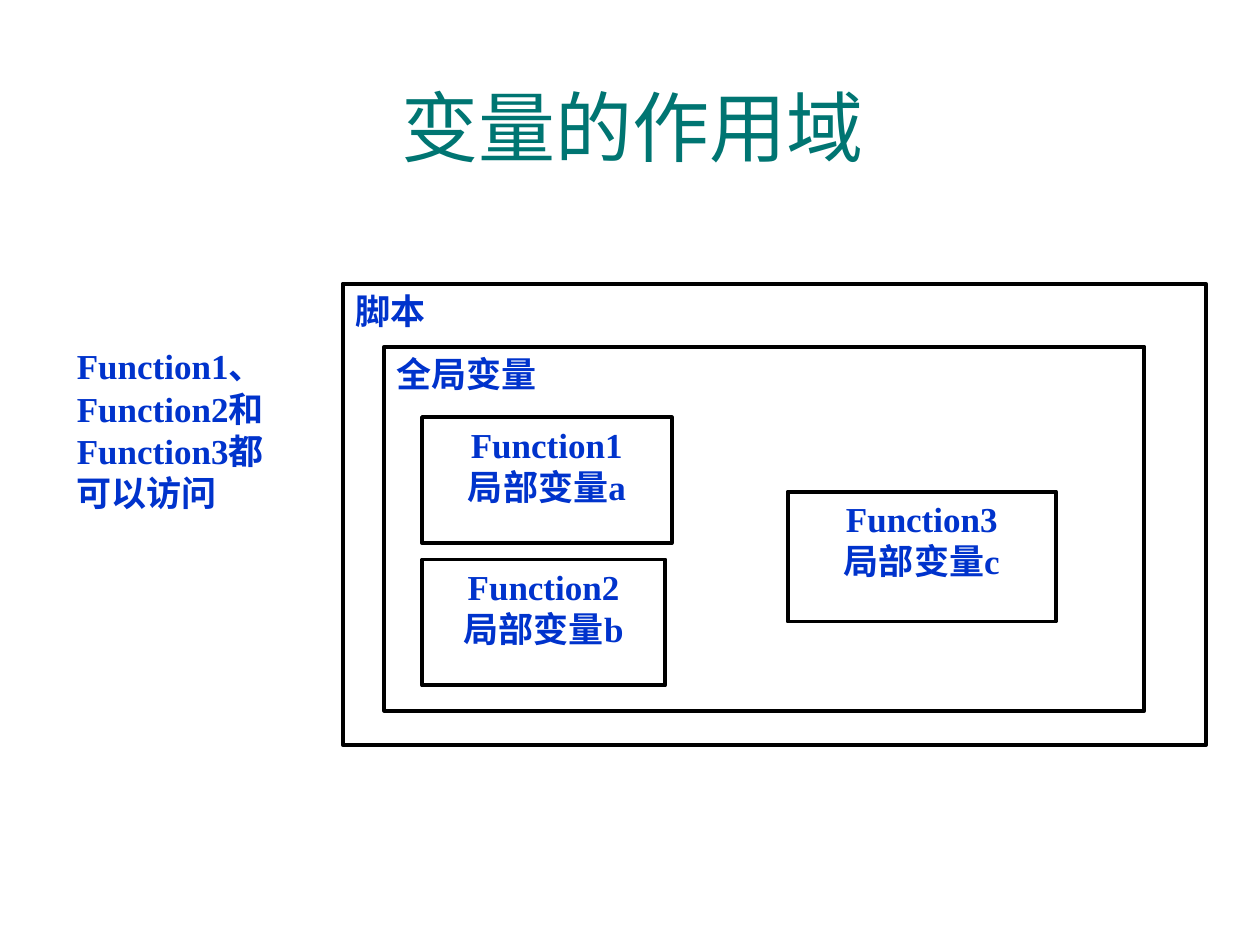
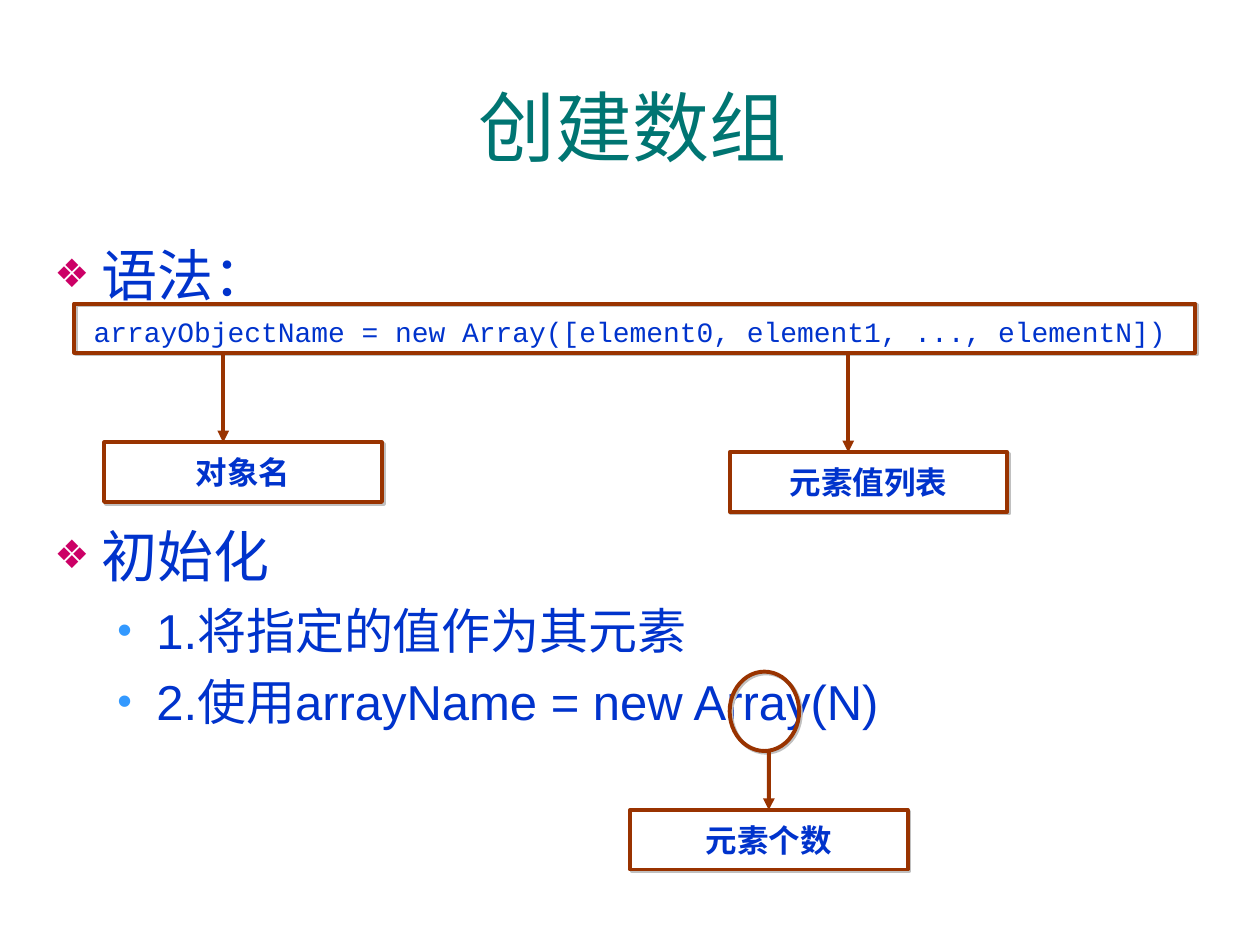
"""Build two lesson slides on variable scope and array creation."""
from lxml import etree
from pptx import Presentation
from pptx.dml.color import RGBColor
from pptx.enum.shapes import MSO_CONNECTOR, MSO_SHAPE
from pptx.enum.text import MSO_ANCHOR, MSO_AUTO_SIZE, PP_ALIGN
from pptx.oxml.ns import qn
from pptx.util import Cm, Pt

RECT, OVAL, LINE = MSO_SHAPE.RECTANGLE, MSO_SHAPE.OVAL, MSO_CONNECTOR.STRAIGHT
LEFT, MID = PP_ALIGN.LEFT, PP_ALIGN.CENTER
TOP, CENTER = MSO_ANCHOR.TOP, MSO_ANCHOR.MIDDLE
FIXED = MSO_AUTO_SIZE.NONE
TEAL = RGBColor(0x00, 0x75, 0x72)
BLUE = RGBColor(0x00, 0x33, 0xCC)
BROWN = RGBColor(0x99, 0x33, 0x00)
BLACK = RGBColor(0x00, 0x00, 0x00)
WHITE = RGBColor(0xFF, 0xFF, 0xFF)
PINK = RGBColor(0xCC, 0x00, 0x66)
SKY = RGBColor(0x33, 0x99, 0xFF)
GREY = RGBColor(0xC0, 0xC0, 0xC0)
HAN = "Noto Sans CJK SC"


def write(para, text, size=20, face="Times New Roman", color=BLUE, bold=False,
          align=LEFT, before=0, mark=None, hang=0, left=0):
    """Fill a paragraph; mark is a bullet's sign, colour and percent."""
    props = para._p.get_or_add_pPr()
    props.set("marL", str(Cm(left)))
    props.set("indent", str(-Cm(hang)))
    if mark:
        sign, tint, scale = mark
        tone = etree.SubElement(props, qn("a:buClr"))
        etree.SubElement(tone, qn("a:srgbClr"), val=str(tint))
        etree.SubElement(props, qn("a:buSzPct"), val=str(scale * 1000))
        etree.SubElement(props, qn("a:buChar"), char=sign)
    else:
        etree.SubElement(props, qn("a:buNone"))
    para.alignment = align
    para.line_spacing = Pt(size * 1.2)
    para.space_before = Pt(before)
    para.text = text
    for run in para.runs:
        font = run.font
        font.size, font.name, font.bold = Pt(size), face, bold
        font.color.rgb = color
        etree.SubElement(run._r.get_or_add_rPr(), qn("a:ea"), typeface=HAN)


def draw(slide, kind, box, fill=None, line=None, shade=False, anchor=TOP, wrap=True):
    """Add a shape with plain fill, line and optional grey shadow."""
    shape = slide.shapes.add_shape(kind, *map(Cm, box))
    shape.shadow.inherit = False
    if fill is None:
        shape.fill.background()
    else:
        shape.fill.solid()
        shape.fill.fore_color.rgb = fill
    if line is None:
        shape.line.fill.background()
    else:
        shape.line.color.rgb = line
        shape.line.width = Pt(2.25)
    if shade:
        glow = shape._element.spPr.find(qn("a:effectLst"))
        cast = etree.SubElement(glow, qn("a:outerShdw"), dist=str(Pt(1.4)),
                                dir="2700000", algn="ctr", rotWithShape="0")
        etree.SubElement(cast, qn("a:srgbClr"), val=str(GREY))
    shape.text_frame.vertical_anchor = anchor
    shape.text_frame.word_wrap = wrap
    return shape


deck = Presentation()
deck.slide_width, deck.slide_height = Cm(25.4), Cm(19.05)
scope = deck.slides.add_slide(deck.slide_layouts[5])
array = deck.slides.add_slide(deck.slide_layouts[1])

for slide, name in ((scope, "变量的作用域"), (array, "创建数组")):
    title = slide.shapes.title
    title.left, title.top, title.width, title.height = map(Cm, (0.89, 0.94, 23.72, 3.18))
    title.text_frame.auto_size = FIXED
    title.text_frame.vertical_anchor = CENTER
    write(title.text_frame.paragraphs[0], name, size=44, face="Arial", color=TEAL, align=MID)

for text, box, line, align in (
    ("Function1、Function2和Function3都可以访问", (1.3, 6.83, 4.67, 3.45), None, LEFT),
    ("脚本", (6.91, 5.72, 17.4, 9.3), BLACK, LEFT),
    ("全局变量", (7.75, 6.99, 15.32, 7.34), BLACK, LEFT),
    ("Function1\v局部变量a", (8.51, 8.41, 5.03, 2.54), BLACK, MID),
    ("Function2\v局部变量b", (8.51, 11.28, 4.9, 2.54), BLACK, MID),
    ("Function3\v局部变量c", (15.88, 9.91, 5.41, 2.62), BLACK, MID),
):
    block = draw(scope, RECT, box, WHITE, line)
    write(block.text_frame.paragraphs[0], text, bold=True, align=align)

body = array.placeholders[1]
body.left, body.top, body.width, body.height = map(Cm, (0.84, 4.72, 23.72, 11.58))
frame = body.text_frame
frame.auto_size = FIXED
head = dict(size=32, face="Arial", mark=("❖", PINK, 70), left=0.95, hang=0.95)
item = dict(size=28, face="Arial", mark=("•", SKY, 85), left=2.06, hang=0.79, before=7)
code = dict(size=16, face="Courier New", align=MID, before=4)
for spot, (text, level, style) in enumerate((
    ("语法：", 0, head),
    ("arrayObjectName = new Array([element0, element1, ..., elementN])", 0, code),
    ("初始化", 0, dict(head, before=99)),
    ("1.将指定的值作为其元素", 1, item),
    ("2.使用arrayName = new Array(N)", 1, item),
)):
    para = frame.add_paragraph() if spot else frame.paragraphs[0]
    para.level = level
    write(para, text, **style)

draw(array, RECT, (1.5, 6.12, 22.6, 0.99), line=BROWN, shade=True)
draw(array, OVAL, (14.71, 13.54, 1.4, 1.6), line=BROWN, shade=True)
for text, left, top, stem, start in (
    ("对象名", 2.1, 8.92, 4.5, 7.13),
    ("元素值列表", 14.71, 9.12, 17.1, 7.13),
    ("元素个数", 12.7, 16.33, 15.5, 15.14),
):
    label = draw(array, RECT, (left, top, 5.6, 1.2), WHITE, BROWN, True, CENTER, False)
    write(label.text_frame.paragraphs[0], text, size=18, face="Courier New",
          bold=True, align=MID)
    arrow = array.shapes.add_connector(LINE, Cm(stem), Cm(start), Cm(stem), Cm(top))
    if stem == left + 2.8:
        arrow.end_connect(label, 0)
    arrow.line.color.rgb = BROWN
    arrow.line.width = Pt(2.25)
    etree.SubElement(arrow.line._get_or_add_ln(), qn("a:tailEnd"), type="triangle")
    etree.SubElement(arrow._element.spPr, qn("a:effectLst"))

deck.save("out.pptx")
